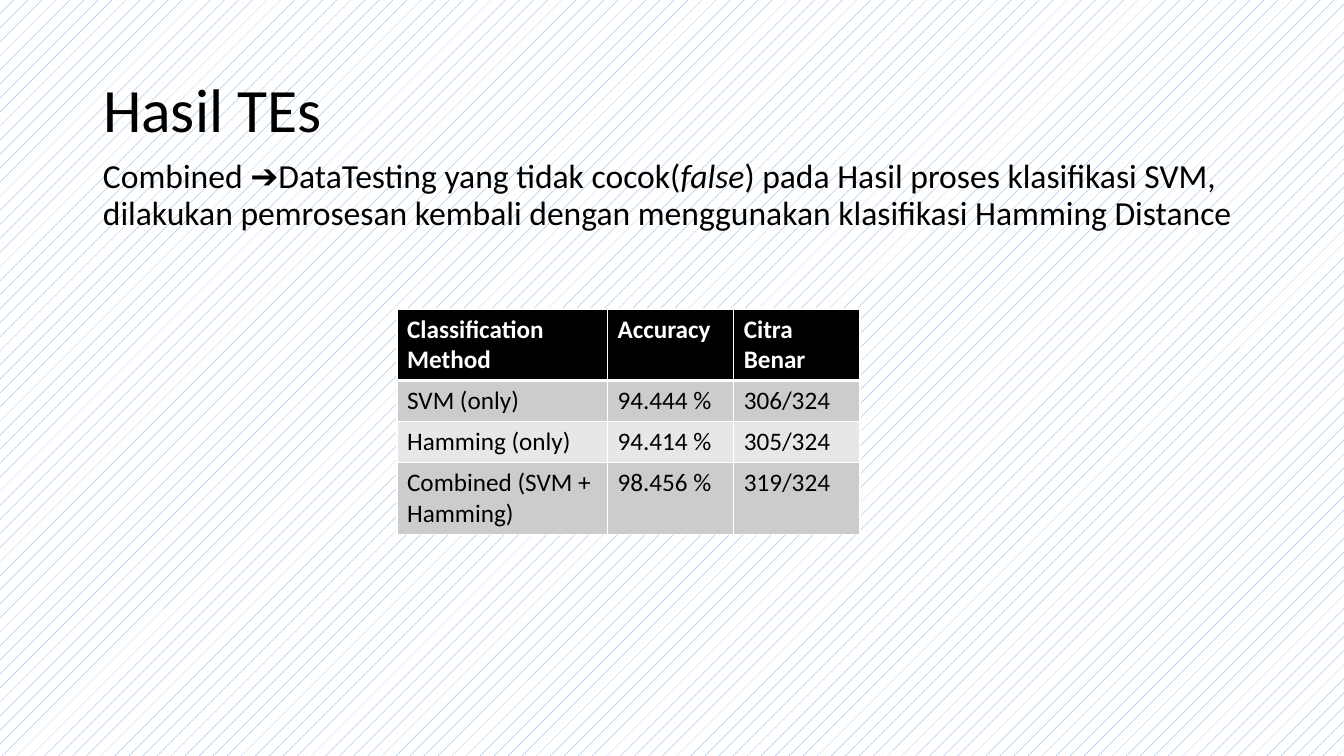
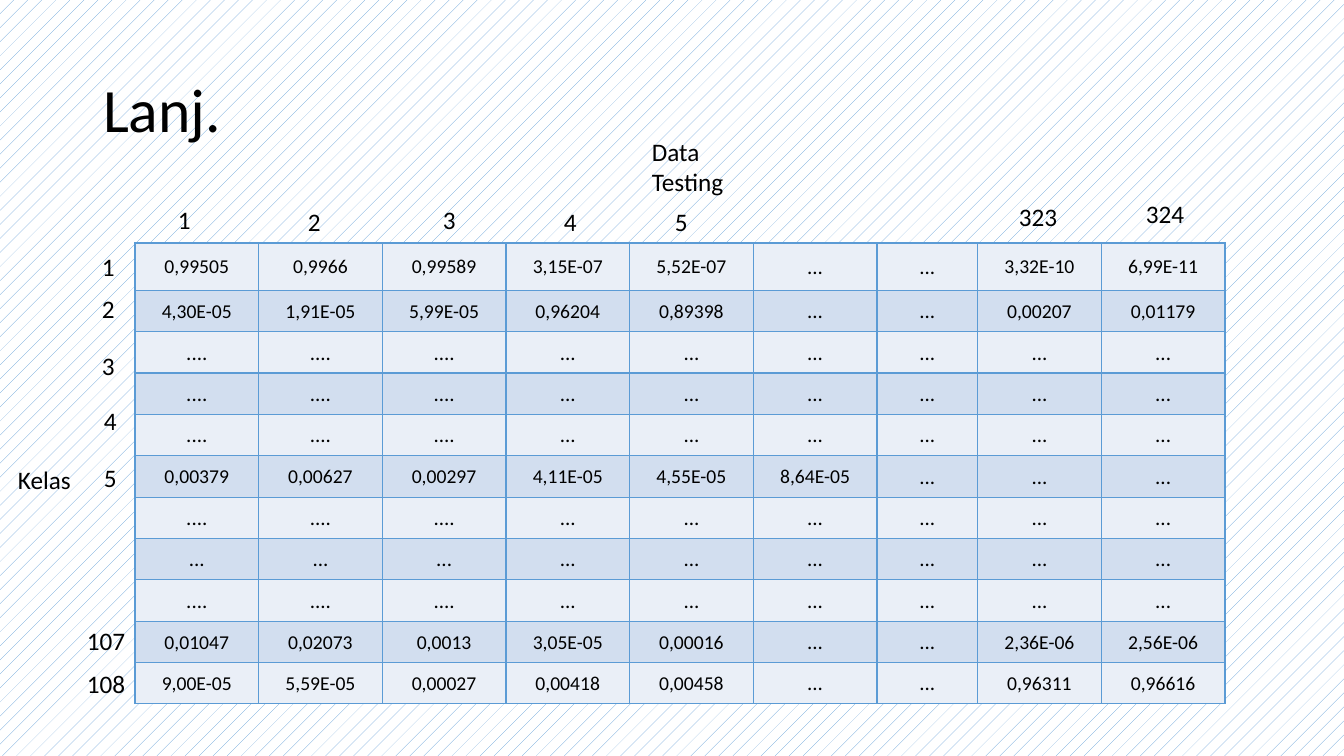
from itertools import accumulate, product

from lxml import etree
from pptx import Presentation
from pptx import util as u
from pptx.dml.color import RGBColor
from pptx.enum import dml, text
from pptx.oxml.ns import qn

WIDE, HIGH = 1344, 756
SCALE = 12192000 / WIDE
FONT = "Calibri"
BLACK, WHITE, BLUE = "000000", "FFFFFF", "5B9BD5"
GREYS = ("CCCCCC", "E7E7E7")
TINTS = ("EAEFF7", "D2DEEF")


def px(n):
    return u.Emu(round(n * SCALE))


def tone(code):
    return RGBColor.from_string(code)


def share(total, parts):
    ends = [px(total * s / sum(parts)) for s in accumulate(parts)]
    return [b - a for a, b in zip([0] + ends, ends)]


class Deck:
    """Holds the style and the current slide."""

    def __init__(self):
        self.show = Presentation()
        self.show.slide_width, self.show.slide_height = px(WIDE), px(HIGH)
        fill = self.show.slide_master.background.fill
        fill.patterned()
        fill.pattern = dml.MSO_PATTERN.PERCENT_5
        fill.fore_color.rgb, fill.back_color.rgb = tone(BLUE), tone(WHITE)

    def style(self, para, size, color=BLACK, bold=False):
        for run in para.runs:
            font = run.font
            font.name, font.size, font.bold = FONT, u.Pt(size), bold
            font.color.rgb = tone(color)

    def place(self, shape, x, y, w, h):
        shape.left, shape.top, shape.width, shape.height = map(px, (x, y, w, h))

    def block(self, shape, size):
        frame = shape.text_frame
        frame.word_wrap = True
        frame.auto_size = text.MSO_AUTO_SIZE.NONE
        frame.vertical_anchor = text.MSO_ANCHOR.MIDDLE
        para = frame.paragraphs[0]
        para.alignment, para.line_spacing = text.PP_ALIGN.LEFT, 0.9
        self.style(para, size)

    def slide(self, title):
        self.page = self.show.slides.add_slide(self.show.slide_layouts[5])
        head = self.page.shapes.title
        self.place(head, 93, 40, 1159, 146)
        head.text_frame.text = title
        self.block(head, 44)

    def body(self, x, y, w, h, parts):
        box = self.page.shapes.add_textbox(*map(px, (x, y, w, h)))
        for words, slant in parts:
            run = box.text_frame.paragraphs[0].add_run()
            run.text, run.font.italic = words, slant
        self.block(box, 24)

    def label(self, words, x, y, w, h=40):
        frame = self.page.shapes.add_textbox(*map(px, (x, y, w, h))).text_frame
        frame.text = words
        frame.word_wrap = True
        frame.auto_size = text.MSO_AUTO_SIZE.SHAPE_TO_FIT_TEXT
        self.style(frame.paragraphs[0], 18)

    def table(self, x, y, w, h, cols, rows):
        frame = self.page.shapes.add_table(
            len(rows), len(cols), *map(px, (x, y, w, h)))
        grid = frame.table
        grid.first_row = grid.horz_banding = False
        for col, size in zip(grid.columns, share(w, cols)):
            col.width = size
        for row, size in zip(grid.rows, share(h, rows)):
            row.height = size
        return grid

    def cell(self, cell, words, size, fill, line, color=BLACK, bold=False, **wide):
        cell.text = words
        self.style(cell.text_frame.paragraphs[0], size, color, bold)
        for spot, side in enumerate("LRTB"):
            edge = etree.Element(qn(f"a:ln{side}"), w=str(u.Pt(wide.get(side, 1))))
            ink = etree.SubElement(edge, qn("a:solidFill"))
            etree.SubElement(ink, qn("a:srgbClr"), val=line)
            cell._tc.get_or_add_tcPr().insert(spot, edge)
        cell.fill.solid()
        cell.fill.fore_color.rgb = tone(fill)

    def center(self, cell):
        cell.vertical_anchor = text.MSO_ANCHOR.MIDDLE
        cell.margin_left = cell.margin_right = cell.margin_top = px(1)
        cell.margin_bottom = 0
        cell.text_frame.paragraphs[0].alignment = text.PP_ALIGN.CENTER


SCORES = [
    ("Classification Method", "Accuracy", "Citra Benar"),
    ("SVM (only)", "94.444 %", "306/324"),
    ("Hamming (only)", "94.414 %", "305/324"),
    ("Combined (SVM + Hamming)", "98.456 %", "319/324"),
]
DOTS = ["...."] * 3 + ["..."] * 6
VALUES = [
    "0,99505 0,9966 0,99589 3,15E-07 5,52E-07 ... ... 3,32E-10 6,99E-11".split(),
    "4,30E-05 1,91E-05 5,99E-05 0,96204 0,89398 ... ... 0,00207 0,01179".split(),
    DOTS, DOTS, DOTS,
    "0,00379 0,00627 0,00297 4,11E-05 4,55E-05 8,64E-05 ... ... ...".split(),
    DOTS, ["..."] * 9, DOTS,
    "0,01047 0,02073 0,0013 3,05E-05 0,00016 ... ... 2,36E-06 2,56E-06".split(),
    "9,00E-05 5,59E-05 0,00027 0,00418 0,00458 ... ... 0,96311 0,96616".split(),
]
LABELS = [
    ("Kelas", 8, 459, 77), ("Data Testing", 642, 131, 98, 72),
    ("1", 92, 246, 28), ("2", 92, 288, 28), ("3", 92, 345, 28),
    ("4", 94, 400, 28), ("5", 94, 457, 28),
    ("107", 77, 620, 64), ("108", 77, 663, 64),
    ("1", 168, 199, 28), ("2", 298, 201, 28), ("3", 433, 199, 28),
    ("4", 554, 201, 28), ("5", 665, 201, 28),
    ("323", 1009, 196, 68), ("324", 1136, 193, 68),
]


def results(deck):
    deck.slide("Hasil TEs")
    grid = deck.table(397, 309, 463, 223, [5, 3, 3], [70, 41, 41, 71])
    for r, c in product(range(4), range(3)):
        if r == 0:
            look = dict(fill=BLACK, color=WHITE, bold=True, B=3)
        else:
            look = dict(fill=GREYS[(r - 1) % 2], T=3 if r == 1 else 1)
        deck.cell(grid.cell(r, c), SCORES[r][c], 18, line=WHITE, **look)
    deck.body(93, 123, 1159, 146, [
        ("Combined ➔DataTesting yang tidak cocok(", False),
        ("false", True),
        (") pada Hasil proses klasifikasi SVM, dilakukan pemrosesan kembali "
         "dengan menggunakan klasifikasi Hamming Distance", False),
    ])


def matrix(deck):
    deck.slide("Lanj.")
    grid = deck.table(135, 243, 1090, 461,
                      [124] * 6 + [101] + [124] * 2, [47] + [41] * 10)
    for r, c in product(range(11), range(9)):
        words, cell = VALUES[r][c], grid.cell(r, c)
        size = 15 if words.startswith("...") else 14
        deck.cell(cell, words, size, TINTS[r % 2], BLUE)
        deck.center(cell)
    for item in LABELS:
        deck.label(*item)


def main():
    deck = Deck()
    results(deck)
    matrix(deck)
    deck.show.save("out.pptx")


if __name__ == "__main__":
    main()
